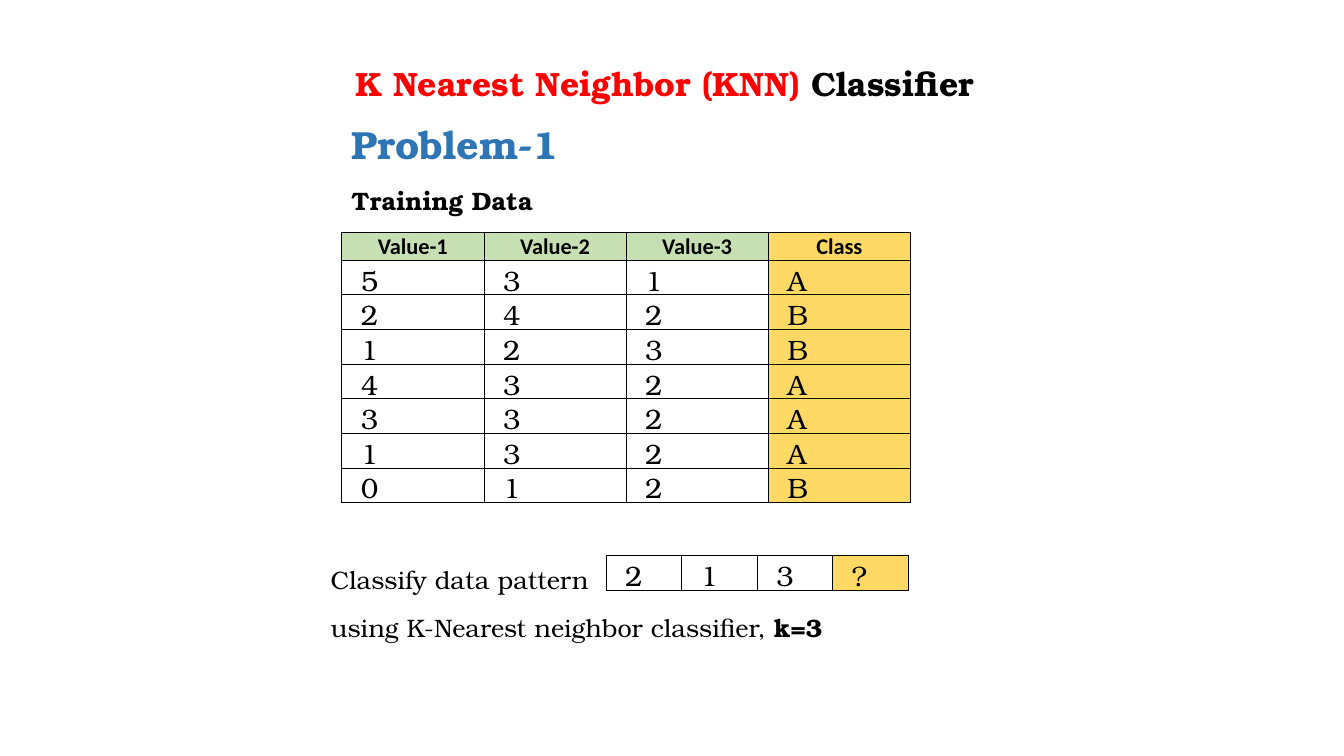
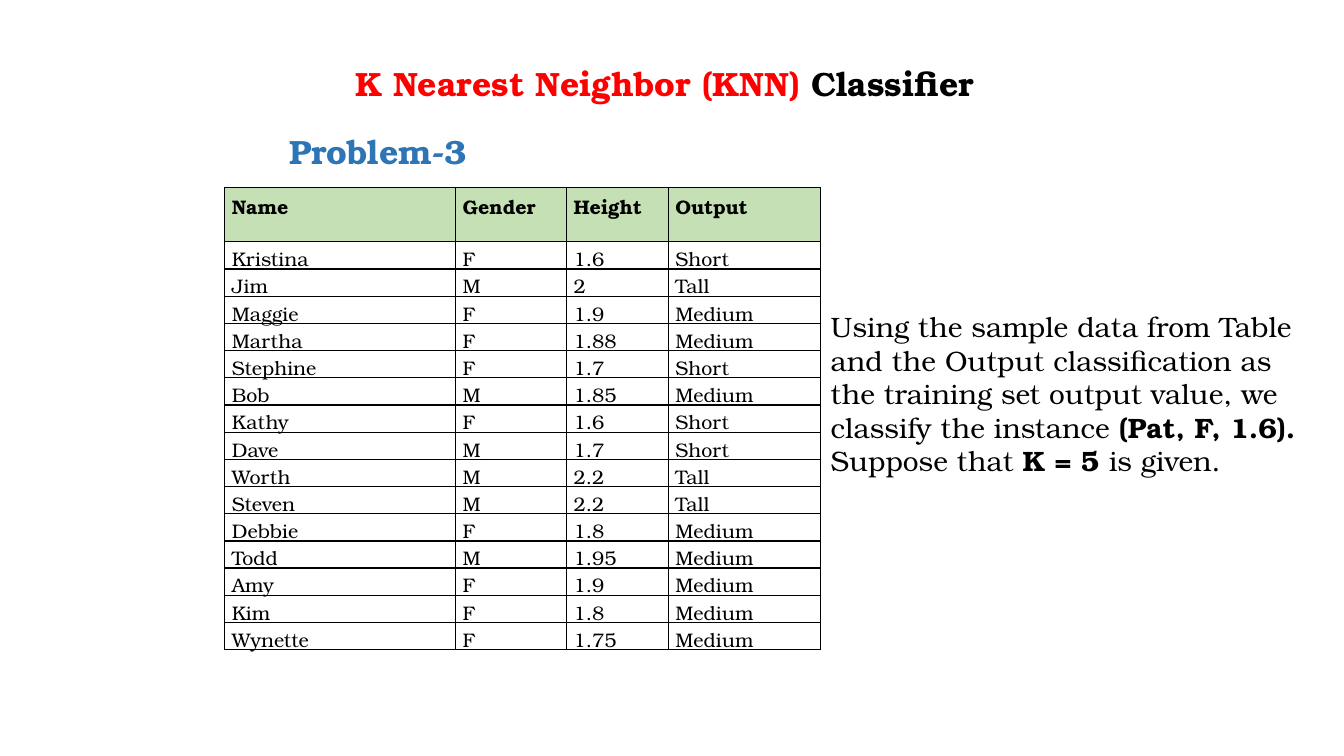
import pptx
import pptx.dml.color
import pptx.enum.text
import pptx.util
from lxml import etree
from pptx.oxml.ns import qn

RGBColor = pptx.dml.color.RGBColor
ALIGN = pptx.enum.text.PP_ALIGN
ANCHOR = pptx.enum.text.MSO_ANCHOR

PX = 9144
SERIF = "TeX Gyre Bonum"
SANS = "Calibri"
BLACK = RGBColor(0, 0, 0)
RED = RGBColor(0xFF, 0, 0)
BLUE = RGBColor(0x2E, 0x75, 0xB6)
GREEN = RGBColor(0xC6, 0xE0, 0xB4)
LIGHT_GREEN = RGBColor(0xC5, 0xE0, 0xB4)
YELLOW = RGBColor(0xFF, 0xD9, 0x66)

TRAINING = [
    (5, 3, 1, "A"),
    (2, 4, 2, "B"),
    (1, 2, 3, "B"),
    (4, 3, 2, "A"),
    (3, 3, 2, "A"),
    (1, 3, 2, "A"),
    (0, 1, 2, "B"),
]
PEOPLE = [
    ("Kristina", "F", 1.6, "Short"),
    ("Jim", "M", 2, "Tall"),
    ("Maggie", "F", 1.9, "Medium"),
    ("Martha", "F", 1.88, "Medium"),
    ("Stephine", "F", 1.7, "Short"),
    ("Bob", "M", 1.85, "Medium"),
    ("Kathy", "F", 1.6, "Short"),
    ("Dave", "M", 1.7, "Short"),
    ("Worth", "M", 2.2, "Tall"),
    ("Steven", "M", 2.2, "Tall"),
    ("Debbie", "F", 1.8, "Medium"),
    ("Todd", "M", 1.95, "Medium"),
    ("Amy", "F", 1.9, "Medium"),
    ("Kim", "F", 1.8, "Medium"),
    ("Wynette", "F", 1.75, "Medium"),
]


def px(*lengths):
    return [pptx.util.Emu(n * PX) for n in lengths]


def set_font(font, size, name=SERIF, bold=None):
    font.size = pptx.util.Pt(size)
    font.name = name
    font.bold = bold


def add_text(s, box, paragraphs, spacing=1.15, after=10, align=ALIGN.LEFT, wrap=True):
    tf = s.shapes.add_textbox(*px(*box)).text_frame
    tf.word_wrap = wrap
    tf.auto_size = pptx.enum.text.MSO_AUTO_SIZE.SHAPE_TO_FIT_TEXT
    for i, (size, runs) in enumerate(paragraphs):
        p = tf.add_paragraph() if i else tf.paragraphs[0]
        p.alignment = align
        p.line_spacing = spacing
        p.space_after = pptx.util.Pt(after)
        set_font(p.font, size)
        for text, color, bold in runs:
            r = p.add_run()
            r.text = text
            r.font.color.rgb = color
            r.font.bold = bold


def set_borders(cell, width):
    tc_pr = cell._tc.get_or_add_tcPr()
    for side in ("lnL", "lnR", "lnT", "lnB"):
        line = etree.SubElement(tc_pr, qn("a:" + side), w=str(pptx.util.Pt(width)))
        fill = etree.SubElement(line, qn("a:solidFill"))
        etree.SubElement(fill, qn("a:srgbClr"), val=str(BLACK))


def set_cell(cell, value, size, margins, border, fill=None, name=SERIF, bold=False,
             align=ALIGN.LEFT, anchor=ANCHOR.MIDDLE, spacing=1.0):
    set_borders(cell, border)
    if fill is None:
        cell.fill.background()
    else:
        cell.fill.solid()
        cell.fill.fore_color.rgb = fill
    cell.margin_left, cell.margin_top, cell.margin_right, cell.margin_bottom = px(*margins)
    cell.vertical_anchor = anchor
    p = cell.text_frame.paragraphs[0]
    p.alignment = align
    p.line_spacing = spacing
    set_font(p.font, size, name, bold)
    p.font.color.rgb = BLACK
    p.add_run().text = str(value)


def add_table(s, left, top, widths, heights):
    frame = s.shapes.add_table(len(heights), len(widths),
                               *px(left, top, sum(widths), sum(heights)))
    table = frame.table
    table.first_row = False
    table.horz_banding = False
    for column, width in zip(table.columns, px(*widths)):
        column.width = width
    for row, height in zip(table.rows, px(*heights)):
        row.height = height
    return table


def fill_pattern_row(table, row, values):
    for col, value in enumerate(values):
        set_cell(table.cell(row, col), value, 20, (19, 1, 1, 0), 0.5,
                 fill=YELLOW if col == 3 else None)


def add_training_table(s):
    table = add_table(s, 339, 230, [141] * 4, [28] + [34] * len(TRAINING))
    for col, heading in enumerate(("Value-1", "Value-2", "Value-3", "Class")):
        set_cell(table.cell(0, col), heading, 16, (1, 1, 1, 0), 0.5,
                 fill=YELLOW if col == 3 else GREEN, name=SANS, bold=True,
                 align=ALIGN.CENTER, anchor=ANCHOR.BOTTOM)
    for row, values in enumerate(TRAINING, 1):
        fill_pattern_row(table, row, values)


def add_people_table(s):
    table = add_table(s, 223, 186, [229, 110, 101, 151], [54] + [27] * len(PEOPLE))
    for row, values in enumerate([("Name", "Gender", "Height", "Output")] + PEOPLE):
        for col, value in enumerate(values):
            set_cell(table.cell(row, col), value, 14, (7, 0, 7, 0), 1,
                     fill=None if row else LIGHT_GREEN, bold=row == 0,
                     anchor=ANCHOR.TOP, spacing=1.15)


def add_slide(prs):
    s = prs.slides.add_slide(prs.slide_layouts[6])
    add_text(s, (339, 52, 652, 53),
             [(24, [("K Nearest Neighbor (KNN)", RED, True), (" Classifier ", BLACK, True)])],
             after=0, align=ALIGN.CENTER)
    return s


def build_problem_1(prs):
    s = add_slide(prs)
    add_training_table(s)
    add_text(s, (339, 107, 667, 113), [
        (28, [("Problem-1", BLUE, True)]),
        (18, [("Training Data", BLACK, True)]),
    ])
    add_text(s, (318, 550, 536, 94), [
        (18, [("Classify data pattern", BLACK, False)]),
        (18, [("using K-Nearest neighbor classifier, ", BLACK, False), ("k=3", BLACK, True)]),
    ])
    fill_pattern_row(add_table(s, 601, 551, [75] * 4, [34]), 0, (2, 1, 3, "?"))


def build_problem_3(prs):
    s = add_slide(prs)
    add_text(s, (814, 302, 492, 178), [(20, [
        ("Using the sample data from Table and the Output classification as the training "
         "set output value, we classify the instance ", BLACK, False),
        ("(Pat, F, 1.6). ", BLACK, True),
        ("Suppose that ", BLACK, False),
        ("K = 5 ", BLACK, True),
        ("is given.", BLACK, False),
    ])], spacing=1.0, after=0)
    add_people_table(s)
    add_text(s, (277, 119, 198, 54), [(24, [("Problem-3", BLUE, True)])], wrap=False)


def main():
    prs = pptx.Presentation()
    prs.slide_width, prs.slide_height = px(1333, 750)
    build_problem_1(prs)
    build_problem_3(prs)
    prs.save("out.pptx")


if __name__ == "__main__":
    main()
